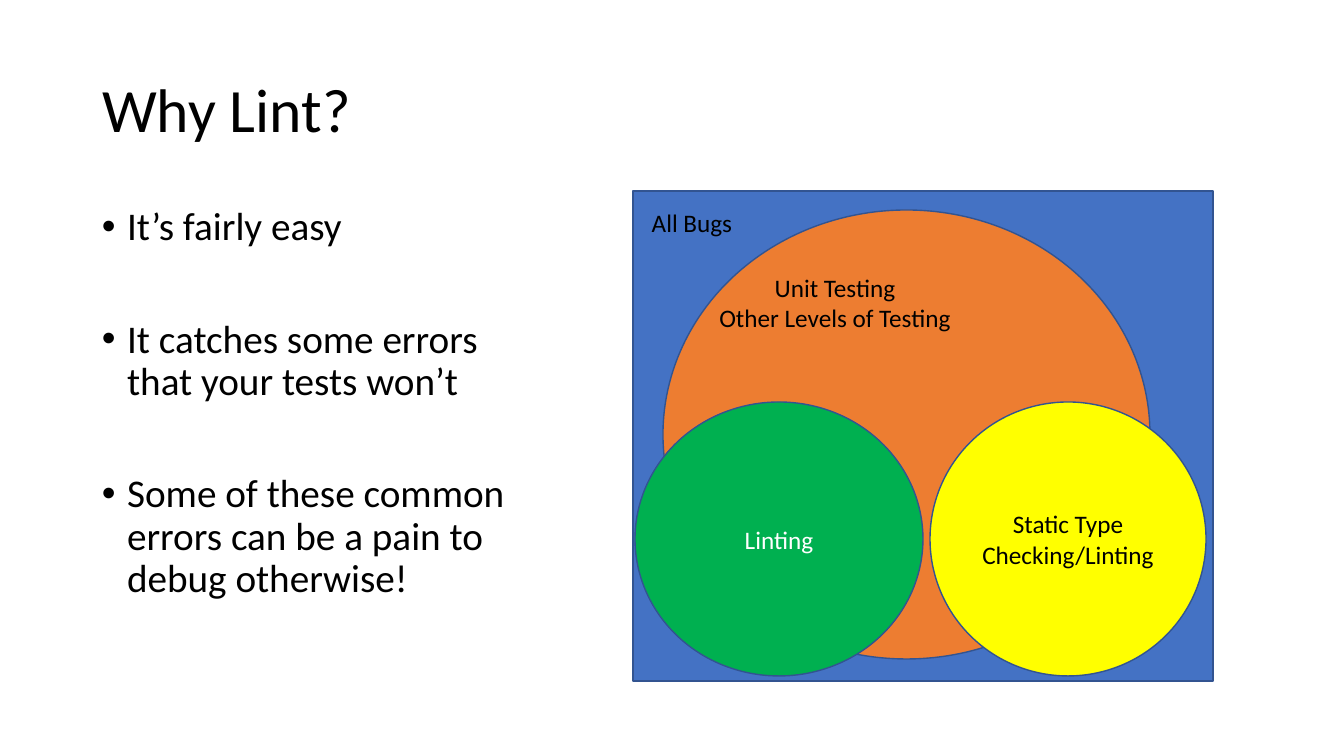
from dataclasses import dataclass

from lxml import etree
from pptx import Presentation
from pptx.dml.color import RGBColor
from pptx.enum.shapes import MSO_SHAPE
from pptx.enum.text import MSO_ANCHOR, MSO_AUTO_SIZE, PP_ALIGN
from pptx.oxml.ns import qn
from pptx.util import Emu, Pt

RECT, OVAL = MSO_SHAPE.RECTANGLE, MSO_SHAPE.OVAL
LEFT, CENTER = PP_ALIGN.LEFT, PP_ALIGN.CENTER
TOP, MIDDLE = MSO_ANCHOR.TOP, MSO_ANCHOR.MIDDLE
FIXED = MSO_AUTO_SIZE.NONE
SCALE = 914400 / 100.8
TITLE_ONLY = 5


@dataclass(frozen=True)
class Theme:
    """Font, type sizes and colours of the slide."""
    font: str = "Calibri"
    title: int = 44
    body: int = 28
    label: int = 18
    black: str = "000000"
    white: str = "FFFFFF"
    blue: str = "4472C4"
    orange: str = "ED7D31"
    yellow: str = "FFFF00"
    green: str = "00B050"
    edge: str = "325491"


THEME = Theme()


def px(*sizes):
    """Turn whole pixels into EMU lengths."""
    return [Emu(round(size * SCALE)) for size in sizes]


def rgb(code):
    """Read a hex colour."""
    return RGBColor.from_string(code)


def bullet(para):
    """Give a paragraph a round bullet and a hanging indent."""
    props = para._p.get_or_add_pPr()
    props.set("marL", "228600")
    props.set("indent", "-228600")
    etree.SubElement(props, qn("a:buFont")).set("typeface", "Arial")
    etree.SubElement(props, qn("a:buChar")).set("char", "•")


def write(frame, *lines, size=THEME.label, color=THEME.black, align=CENTER,
          anchor=TOP, wrap=True, spacing=1.0, after=0, dots=False):
    """Fill a text frame, one paragraph for each line."""
    frame.auto_size = FIXED
    frame.word_wrap = wrap
    frame.vertical_anchor = anchor
    for i, line in enumerate(lines):
        para = frame.add_paragraph() if i else frame.paragraphs[0]
        para.alignment = align
        para.line_spacing = spacing
        para.space_before, para.space_after = Pt(0), Pt(after)
        if dots:
            bullet(para)
        run = para.add_run()
        run.text = line
        run.font.name, run.font.size = THEME.font, Pt(size)
        run.font.color.rgb = rgb(color)


def head(slide, box, text):
    """Place and format the title."""
    title = slide.shapes.title
    title.left, title.top, title.width, title.height = px(*box)
    write(title.text_frame, text, size=THEME.title, align=LEFT,
          anchor=MIDDLE, spacing=0.9)


def note(slide, box, *lines, **style):
    """Add a text box."""
    write(slide.shapes.add_textbox(*px(*box)).text_frame, *lines, **style)


def area(slide, kind, box, fill, *lines, **style):
    """Add one filled region of the diagram, with its label if any."""
    shape = slide.shapes.add_shape(kind, *px(*box))
    shape.shadow.inherit = False
    shape.fill.solid()
    shape.fill.fore_color.rgb = rgb(fill)
    shape.line.color.rgb = rgb(THEME.edge)
    shape.line.width = Pt(1)
    if lines:
        write(shape.text_frame, *lines, anchor=MIDDLE, **style)


def main():
    """Build and save the slide."""
    deck = Presentation()
    deck.slide_width, deck.slide_height = px(1344, 756)
    slide = deck.slides.add_slide(deck.slide_layouts[TITLE_ONLY])

    head(slide, (92, 40, 1159, 146), "Why Lint?")
    note(slide, (92, 202, 463, 480),
         "It’s fairly easy",
         "It catches some errors that your tests won’t",
         "Some of these common errors can be a pain to debug otherwise!",
         size=THEME.body, align=LEFT, spacing=0.9, after=50, dots=True)

    area(slide, RECT, (633, 191, 580, 490), THEME.blue)
    note(slide, (641, 202, 102, 40), "All Bugs", wrap=False)
    area(slide, OVAL, (663, 210, 487, 449), THEME.orange)
    area(slide, OVAL, (930, 402, 276, 274), THEME.yellow,
         "Static Type Checking/Linting")
    note(slide, (667, 267, 336, 72),
         "Unit Testing", "Other Levels of Testing")
    area(slide, OVAL, (635, 402, 288, 274), THEME.green,
         "Linting", color=THEME.white)

    deck.save("out.pptx")


main()
